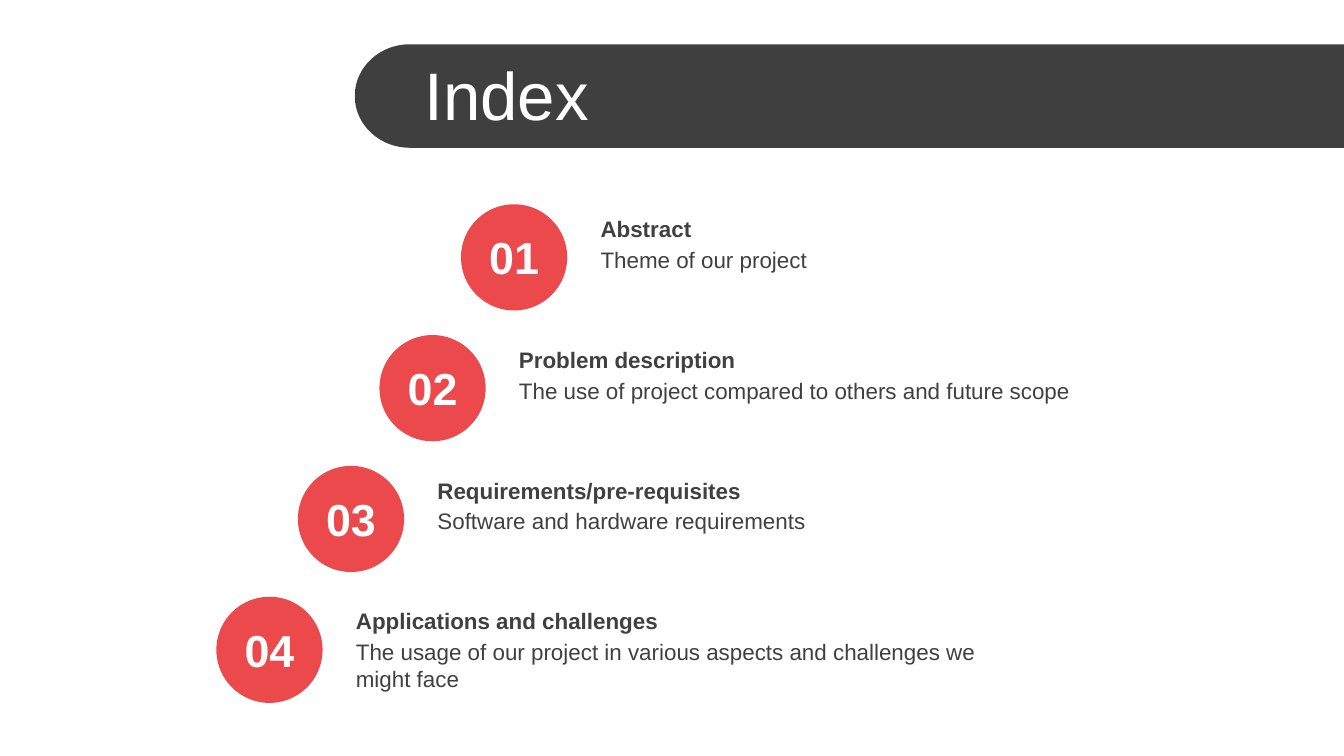
from math import cos, pi, sin

from pptx import Presentation
from pptx.dml.color import RGBColor
from pptx.enum.shapes import MSO_SHAPE
from pptx.enum.text import MSO_ANCHOR, MSO_AUTO_SIZE, PP_ALIGN
from pptx.util import Inches, Pt

OVAL = MSO_SHAPE.OVAL
MIDDLE = MSO_ANCHOR.MIDDLE
GROW = MSO_AUTO_SIZE.SHAPE_TO_FIT_TEXT
FIXED = MSO_AUTO_SIZE.NONE
LEFT = PP_ALIGN.LEFT
CENTER = PP_ALIGN.CENTER

WHITE = RGBColor(0xFF, 0xFF, 0xFF)
BANNER_GRAY = RGBColor(0x3F, 0x3F, 0x3F)
TEXT_GRAY = RGBColor(0x40, 0x40, 0x40)
RED = RGBColor(0xEB, 0x49, 0x4B)

FONT = "Arial"
TITLE = {"size": Pt(36), "bold": False}
NUMBER = {"size": Pt(24), "bold": True}
HEADING = {"size": Pt(12), "bold": True}
DETAIL = {"size": Pt(12), "bold": False}

PAGE_WIDTH = 10
PAGE_HEIGHT = PAGE_WIDTH * 9 / 16
FIRST_LEFT, FIRST_TOP = 3.43, 1.52
LAST_LEFT, LAST_TOP = 1.61, 4.44
CIRCLE_SIZE = 0.79
LABEL_OFFSET, LABEL_WIDTH = 0.94, 5.04
ARC_STEPS = 60

ITEMS = [
    ("Abstract", "Theme of our project", 0.3),
    ("Problem description",
     "The use of project compared to others and future scope", 0.3),
    ("Requirements/pre-requisites", "Software and hardware requirements", 0.3),
    ("Applications and challenges",
     "The usage of our project in various aspects and challenges we might face",
     0.5),
]


def paint(shape, color):
    shape.fill.solid()
    shape.fill.fore_color.rgb = color
    shape.line.fill.background()
    shape.shadow.inherit = False


def add_text(shapes, text, place, formats, color, align=LEFT, auto_size=GROW):
    box = shapes.add_textbox(*map(Inches, place))
    frame = box.text_frame
    frame.word_wrap = True
    frame.auto_size = auto_size
    frame.vertical_anchor = MIDDLE
    para = frame.paragraphs[0]
    para.alignment = align
    span = para.add_run()
    span.text = text
    span.font.name = FONT
    span.font.color.rgb = color
    for name, value in formats.items():
        setattr(span.font, name, value)


def add_banner(page):
    left, top, bottom, radius = 2.64, 0.33, 1.1, 0.41
    center_x, center_y = left + radius, (top + bottom) / 2
    half_height = (bottom - top) / 2
    angles = [pi / 2 + pi * step / ARC_STEPS for step in range(ARC_STEPS + 1)]
    arc = [(Inches(center_x + radius * cos(angle)),
            Inches(center_y + half_height * sin(angle))) for angle in angles]
    right = Inches(PAGE_WIDTH)
    builder = page.shapes.build_freeform(right, Inches(top))
    builder.add_line_segments([(right, Inches(bottom)), *arc], close=True)
    paint(builder.convert_to_shape(), BANNER_GRAY)
    add_text(page.shapes, "Index", (3.06, 0.38, 6.94, 0.63), TITLE, WHITE,
             auto_size=FIXED)


def add_item(page, index, heading, detail, detail_height):
    progress = index / (len(ITEMS) - 1)
    left = FIRST_LEFT + progress * (LAST_LEFT - FIRST_LEFT)
    top = FIRST_TOP + progress * (LAST_TOP - FIRST_TOP)
    circle = page.shapes.add_shape(
        OVAL, *map(Inches, (left, top, CIRCLE_SIZE, CIRCLE_SIZE)))
    paint(circle, RED)
    label_left = left + LABEL_OFFSET
    label = page.shapes.add_group_shape().shapes
    add_text(label, detail,
             (label_left, top + 0.26, LABEL_WIDTH, detail_height),
             DETAIL, TEXT_GRAY)
    add_text(label, heading, (label_left, top + 0.03, LABEL_WIDTH, 0.3),
             HEADING, TEXT_GRAY)
    add_text(page.shapes, f"{index + 1:02}",
             (left, top + 0.14, CIRCLE_SIZE, 0.5), NUMBER, WHITE, CENTER)


def main():
    deck = Presentation()
    deck.slide_width = Inches(PAGE_WIDTH)
    deck.slide_height = Inches(PAGE_HEIGHT)
    page = deck.slides.add_slide(deck.slide_layouts[6])
    add_banner(page)
    for index, item in enumerate(ITEMS):
        add_item(page, index, *item)
    deck.save("out.pptx")


if __name__ == "__main__":
    main()
